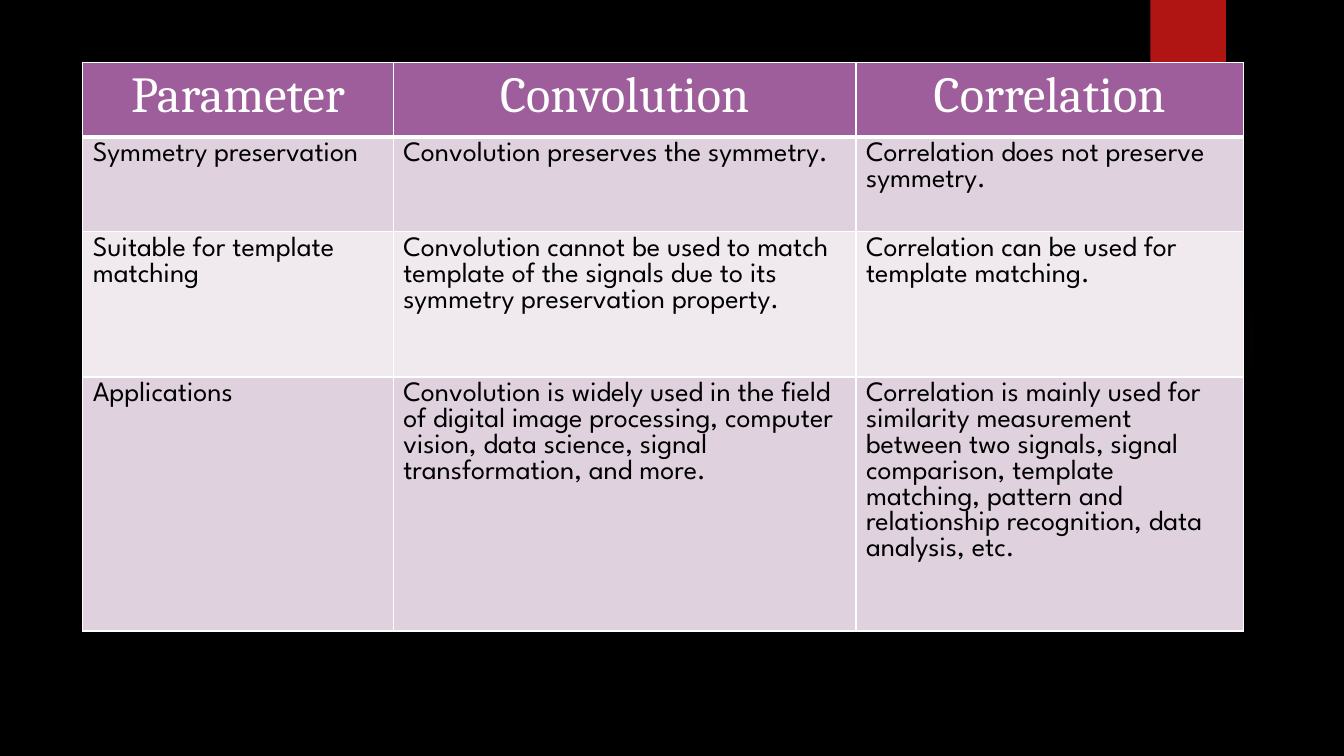
from lxml.etree import SubElement
from pptx import Presentation
from pptx.dml.color import RGBColor
from pptx.enum.shapes import MSO_SHAPE
from pptx.enum.text import PP_ALIGN
from pptx.oxml import parse_xml
from pptx.oxml.ns import nsdecls, qn
from pptx.util import Inches, Pt

WIDTH, HEIGHT = 13.33, 7.5
COLUMNS = [3.08, 4.59, 3.84]
ROWS = [0.74, 0.94, 1.44, 2.52]
HEADER_FILL = "9E5E9B"
BAND_FILLS = ["DFD2DE", "F0EAEF"]
COMPARISON = [
    ["Parameter", "Convolution", "Correlation"],
    [
        "Symmetry preservation",
        "Convolution preserves the symmetry.",
        "Correlation does not preserve symmetry.",
    ],
    [
        "Suitable for template matching",
        "Convolution cannot be used to match template of the signals "
        "due to its symmetry preservation property.",
        "Correlation can be used for template matching.",
    ],
    [
        "Applications",
        "Convolution is widely used in the field of digital image processing, "
        "computer vision, data science, signal transformation, and more.",
        "Correlation is mainly used for similarity measurement between two signals, "
        "signal comparison, template matching, pattern and relationship recognition, "
        "data analysis, etc.",
    ],
]


def paint(fill, color):
    """Give a fill one solid hex colour."""
    fill.solid()
    fill.fore_color.rgb = RGBColor.from_string(color)


def write(text_frame, text, font="League Spartan", size=20, color="000000",
          align=PP_ALIGN.LEFT):
    """Write one formatted paragraph into a text frame."""
    paragraph = text_frame.paragraphs[0]
    paragraph.alignment = align
    run = paragraph.add_run()
    run.text = text
    run.font.name = font
    run.font.size = Pt(size)
    run.font.bold = False
    run.font.color.rgb = RGBColor.from_string(color)


def add_plain_shape(slide, kind, left, top, width, height):
    """Add a preset shape without line or shadow."""
    shape = slide.shapes.add_shape(
        kind, Inches(left), Inches(top), Inches(width), Inches(height))
    shape.line.fill.background()
    shape.shadow.inherit = False
    return shape


def add_glow(slide, left, top, diameter, color, stops):
    """Add a circle whose colour fades out from its centre."""
    glow = add_plain_shape(slide, MSO_SHAPE.OVAL, left, top, diameter, diameter)
    stop_xml = "".join(
        f'<a:gs pos="{position * 1000}"><a:srgbClr val="{color}">'
        f'<a:alpha val="{opacity * 1000}"/></a:srgbClr></a:gs>'
        for position, opacity in stops)
    gradient = parse_xml(
        f'<a:gradFill {nsdecls("a")}><a:gsLst>{stop_xml}</a:gsLst>'
        '<a:path path="circle"><a:fillToRect l="50000" t="50000" r="50000" b="50000"/>'
        '</a:path></a:gradFill>')
    glow.element.spPr.find(qn("a:prstGeom")).addnext(gradient)


def set_borders(cell, color="FFFFFF", **widths):
    """Draw the four borders of a cell, one point wide unless given."""
    properties = cell._tc.get_or_add_tcPr()
    for index, side in enumerate("LRTB"):
        line = SubElement(properties, qn(f"a:ln{side}"), w=str(Pt(widths.get(side, 1))))
        SubElement(SubElement(line, qn("a:solidFill")), qn("a:srgbClr"), val=color)
        properties.insert(index, line)


def add_comparison_table(slide, left, top):
    """Add the banded table with its centred header row."""
    frame = slide.shapes.add_table(
        len(ROWS), len(COLUMNS), Inches(left), Inches(top),
        Inches(sum(COLUMNS)), Inches(sum(ROWS)))
    table = frame.table
    for column, width in zip(table.columns, COLUMNS):
        column.width = Inches(width)
    for index, (row, height, texts) in enumerate(zip(table.rows, ROWS, COMPARISON)):
        row.height = Inches(height)
        for cell, text in zip(row.cells, texts):
            if index == 0:
                paint(cell.fill, HEADER_FILL)
                write(cell.text_frame, text, font="Cambria", size=36,
                      color="FFFFFF", align=PP_ALIGN.CENTER)
                set_borders(cell, B=3)
            else:
                paint(cell.fill, BAND_FILLS[(index - 1) % 2])
                write(cell.text_frame, text)
                set_borders(cell, T=3 if index == 1 else 1)


def main():
    """Build and save the slide."""
    presentation = Presentation()
    presentation.slide_width = Inches(WIDTH)
    presentation.slide_height = Inches(HEIGHT)
    slide = presentation.slides.add_slide(presentation.slide_layouts[6])
    paint(slide.background.fill, "000000")
    add_glow(slide, 9.41, 1.83, 3.08, "50B9C1", [(0, 7), (36, 6), (69, 0), (100, 0)])
    tab = add_plain_shape(slide, MSO_SHAPE.RECTANGLE, 11.41, 0, HEIGHT / 10, HEIGHT / 6)
    paint(tab.fill, "B01513")
    add_comparison_table(slide, 0.82, 0.62)
    presentation.save("out.pptx")


if __name__ == "__main__":
    main()
